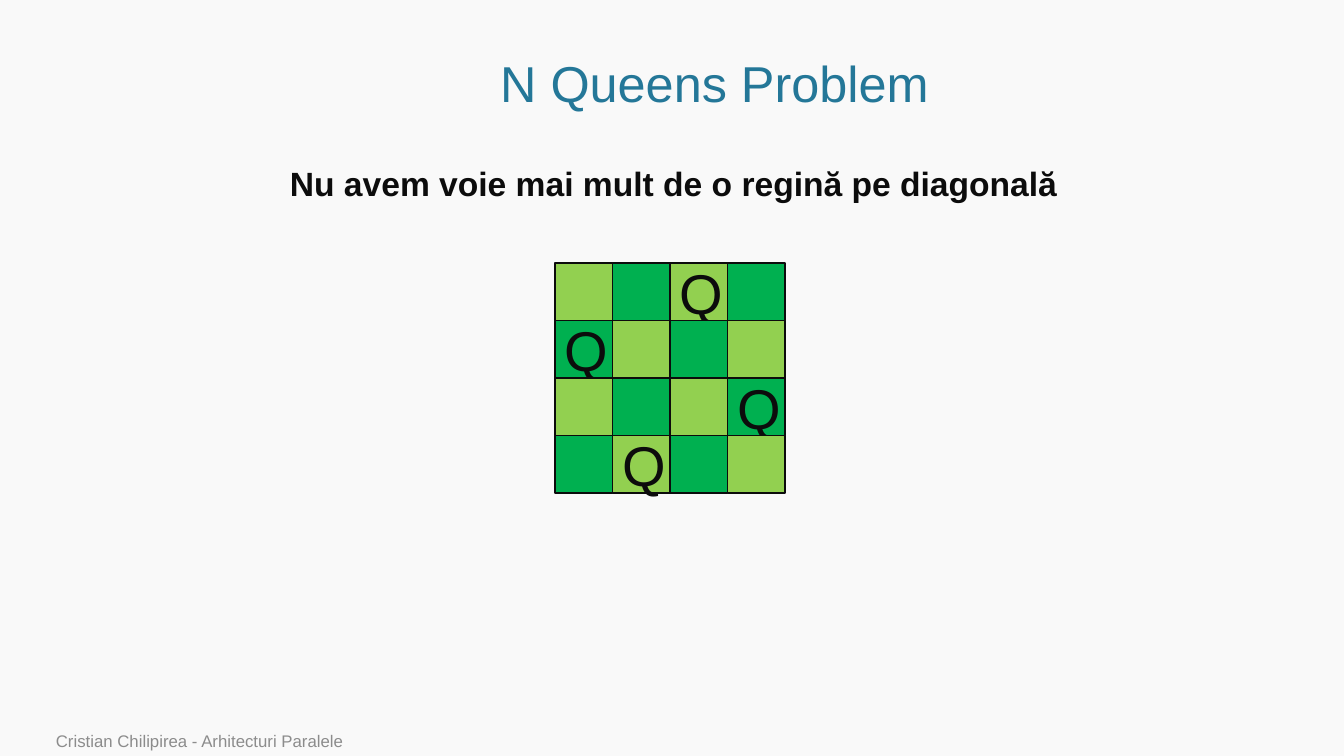
from dataclasses import dataclass

from pptx import Presentation
from pptx import util as u
from pptx.dml.color import RGBColor
from pptx.enum import shapes, text

PX = 914400 / 100.8
TITLE_ONLY = 5
QUEEN_COLUMNS = [2, 0, 3, 1]


@dataclass(frozen=True)
class Theme:
    font: str = "Arial"
    background: str = "F9F9F9"
    heading: str = "247798"
    ink: str = "0C0C0C"
    muted: str = "8C8C8C"
    light_square: str = "92D050"
    dark_square: str = "00B050"
    title_size: int = 36
    rule_size: int = 24
    queen_size: int = 40
    footer_size: int = 12


def px(length):
    return u.Emu(round(length * PX))


def rgb(colour):
    return RGBColor.from_string(colour)


class SlideBuilder:
    def __init__(self, deck, theme):
        self.theme = theme
        self.page = deck.slides.add_slide(deck.slide_layouts[TITLE_ONLY])
        background = self.page.background.fill
        background.solid()
        background.fore_color.rgb = rgb(theme.background)

    def set_text(self, shape, words, size, colour, bold=False,
                 frame_format=None, para_format=None):
        frame = shape.text_frame
        for name, value in {"word_wrap": True, **(frame_format or {})}.items():
            setattr(frame, name, value)
        para = frame.paragraphs[0]
        for name, value in (para_format or {}).items():
            setattr(para, name, value)
        span = para.add_run()
        span.text = words
        font_format = {"name": self.theme.font, "size": u.Pt(size), "bold": bold}
        for name, value in font_format.items():
            setattr(span.font, name, value)
        span.font.color.rgb = rgb(colour)

    def title(self, words, left, top, width, height):
        box = self.page.shapes.title
        place = {"left": left, "top": top, "width": width, "height": height}
        for name, value in place.items():
            setattr(box, name, px(value))
        self.set_text(box, words, self.theme.title_size, self.theme.heading,
                      frame_format={"vertical_anchor": text.MSO_ANCHOR.MIDDLE},
                      para_format={"alignment": text.PP_ALIGN.CENTER,
                                   "line_spacing": 0.9})

    def label(self, words, place, size, colour, **formats):
        box = self.page.shapes.add_textbox(*map(px, place))
        self.set_text(box, words, size, colour, **formats)

    def square(self, left, top, side, colour):
        box = self.page.shapes.add_shape(
            shapes.MSO_SHAPE.RECTANGLE, *map(px, (left, top, side, side)))
        box.shadow.inherit = False
        box.fill.solid()
        box.fill.fore_color.rgb = rgb(colour)
        box.line.color.rgb = rgb(self.theme.ink)
        box.line.width = u.Pt(1)
        return box

    def board(self, left, top, side, queen_columns):
        """Draw a chessboard with one queen per row, in the given columns."""
        count = len(queen_columns)
        step = side / count
        colours = (self.theme.light_square, self.theme.dark_square)
        for row, queen_column in enumerate(queen_columns):
            for column in range(count):
                cell = self.square(left + column * step, top + row * step,
                                   step, colours[(row + column) % 2])
                if column == queen_column:
                    self.set_text(
                        cell, "Q", self.theme.queen_size, self.theme.ink,
                        frame_format={"vertical_anchor": text.MSO_ANCHOR.MIDDLE},
                        para_format={"alignment": text.PP_ALIGN.CENTER})


def main():
    deck = Presentation()
    deck.slide_width, deck.slide_height = px(1344), px(756)
    theme = Theme()
    slide = SlideBuilder(deck, theme)
    slide.title("N Queens Problem", 115, 51, 1199, 70)
    slide.board(555, 263, 230, QUEEN_COLUMNS)
    slide.label("Nu avem voie mai mult de o regină pe diagonală",
                (280, 158, 794, 50), theme.rule_size, theme.ink, bold=True,
                frame_format={"word_wrap": False,
                              "auto_size": text.MSO_AUTO_SIZE.SHAPE_TO_FIT_TEXT})
    slide.label("Cristian Chilipirea - Arhitecturi Paralele",
                (46, 728, 990, 28), theme.footer_size, theme.muted,
                frame_format={"vertical_anchor": text.MSO_ANCHOR.BOTTOM})
    deck.save("out.pptx")


if __name__ == "__main__":
    main()
